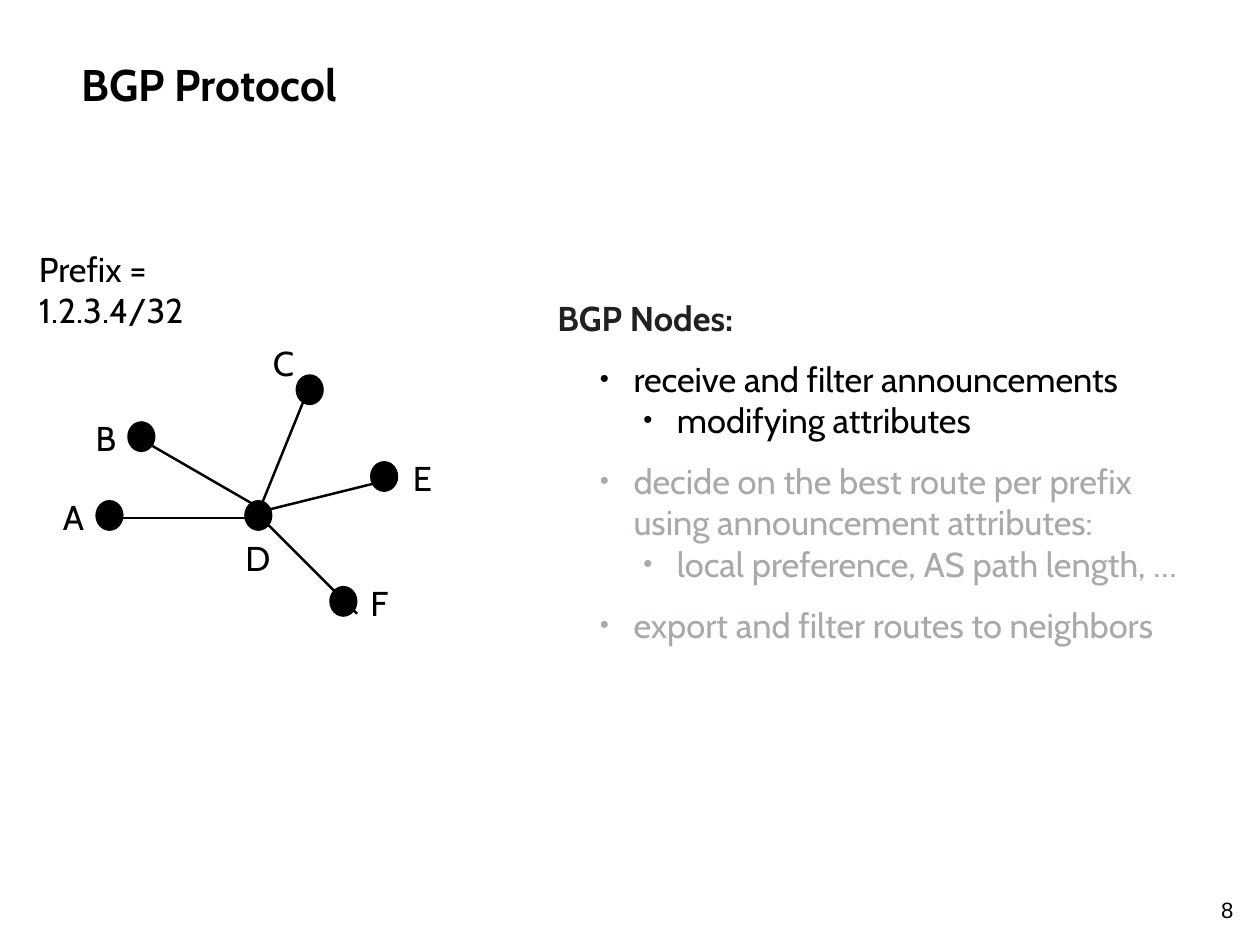
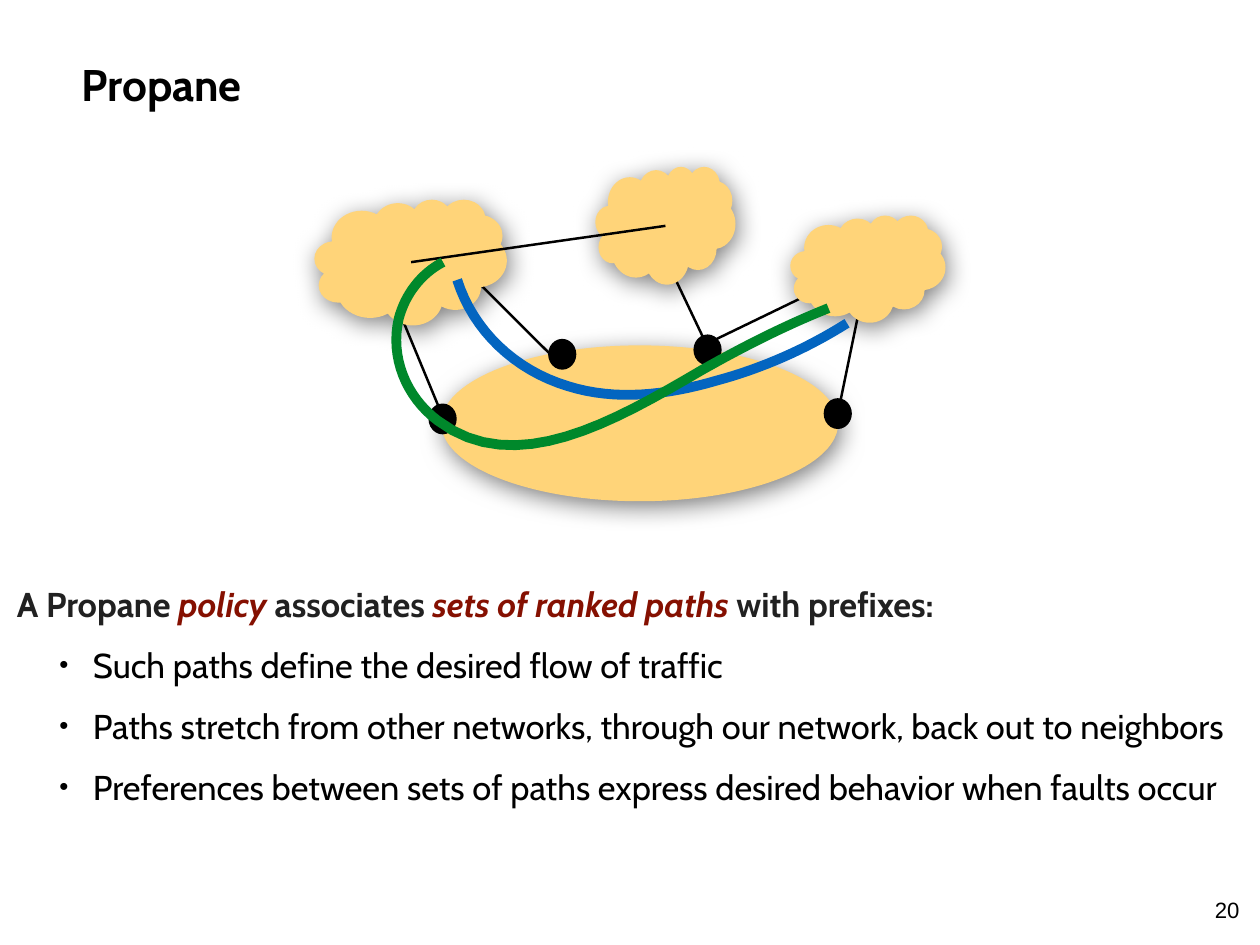
import lxml.etree
import pptx
import pptx.dml.color
import pptx.enum.shapes
import pptx.enum.text
import pptx.oxml.ns
import pptx.util

Inches = pptx.util.Inches
Pt = pptx.util.Pt
RGBColor = pptx.dml.color.RGBColor
Shape = pptx.enum.shapes.MSO_SHAPE
Align = pptx.enum.text.PP_ALIGN
Anchor = pptx.enum.text.MSO_ANCHOR
qn = pptx.oxml.ns.qn

BLACK = RGBColor(0x00, 0x00, 0x00)
HEADING = RGBColor(0x21, 0x21, 0x21)
FADED = RGBColor(0xA6, 0xAA, 0xA9)
EMPHASIS = RGBColor(0x85, 0x10, 0x01)
SAND = RGBColor(0xFF, 0xD4, 0x79)
BLUE = RGBColor(0x03, 0x65, 0xC0)
GREEN = RGBColor(0x00, 0x88, 0x2B)

TEXT_FONT = "Cabin"
NUMBER_FONT = "Arial"
TEXT_SIZE = 28
NODE_WIDTH, NODE_HEIGHT = 0.29, 0.32
LABEL_HEIGHT = 0.56
BULLET_LEFT = {1: 0.86, 2: 1.35}
BULLET_HANG = 0.38
CURVE_STEPS = 16


def add_element(parent, tag, **attributes):
    element = lxml.etree.SubElement(parent, qn(tag))
    for name, value in attributes.items():
        element.set(name, str(value))
    return element


def add_text_box(slide, left, top, width, height, wrap=True):
    shape = slide.shapes.add_textbox(Inches(left), Inches(top), Inches(width), Inches(height))
    frame = shape.text_frame
    frame.word_wrap = wrap
    frame.margin_left = frame.margin_right = Inches(0.06)
    frame.margin_top = frame.margin_bottom = Inches(0.06)
    return frame


def add_run(paragraph, text, size=TEXT_SIZE, color=BLACK, bold=False, italic=False, font=TEXT_FONT):
    run = paragraph.add_run()
    run.text = text
    run.font.name = font
    run.font.size = Pt(size)
    run.font.bold = bold
    run.font.italic = italic
    run.font.color.rgb = color


def add_base_slide(presentation, title, number):
    slide = presentation.slides.add_slide(presentation.slide_layouts[6])
    frame = add_text_box(slide, 0.86, 0.28, 12.5, 1.33)
    frame.vertical_anchor = Anchor.MIDDLE
    add_run(frame.paragraphs[0], title, size=36, bold=True)
    frame = add_text_box(slide, 13.55, 10.06, 0.6, 0.4, wrap=False)
    frame.paragraphs[0].alignment = Align.CENTER
    add_run(frame.paragraphs[0], number, size=18, font=NUMBER_FONT)
    return slide


def add_body(slide, left, top, width, height, heading, bullets):
    frame = add_text_box(slide, left, top, width, height)
    for text, color, italic in heading:
        add_run(frame.paragraphs[0], text, color=color, bold=True, italic=italic)
    for level, text, color in bullets:
        paragraph = frame.add_paragraph()
        paragraph.level = level
        paragraph.space_before = Pt(16 if level == 1 else 0)
        properties = paragraph._p.get_or_add_pPr()
        properties.set("marL", str(Inches(BULLET_LEFT[level])))
        properties.set("indent", str(-Inches(BULLET_HANG)))
        add_element(properties, "a:buSzPct", val=75000)
        add_element(properties, "a:buFont", typeface="Arial")
        add_element(properties, "a:buChar", char="•")
        add_run(paragraph, text, color=color)


def add_link(slide, left, top, start_x, start_y, end_x, end_y):
    connector = slide.shapes.add_connector(
        pptx.enum.shapes.MSO_CONNECTOR.STRAIGHT,
        Inches(left + start_x), Inches(top + start_y), Inches(left + end_x), Inches(top + end_y))
    connector.line.color.rgb = BLACK
    connector.line.width = Pt(2)
    add_element(connector._element.spPr, "a:effectLst")


def add_solid(slide, kind, left, top, width, height, color):
    shape = slide.shapes.add_shape(kind, Inches(left), Inches(top), Inches(width), Inches(height))
    shape.fill.solid()
    shape.fill.fore_color.rgb = color
    shape.line.fill.background()
    shape.shadow.inherit = False
    return shape


def add_node(slide, left, top):
    shape = add_solid(slide, Shape.OVAL, left, top, NODE_WIDTH, NODE_HEIGHT, BLACK)
    shape.line.color.rgb = BLACK
    shape.line.width = Pt(2)


def add_network_area(slide, kind, left, top, width, height):
    shape = add_solid(slide, kind, left, top, width, height, SAND)
    effects = shape._element.spPr.find(qn("a:effectLst"))
    shadow = add_element(effects, "a:outerShdw", blurRad=Pt(20), dist=Pt(4.9),
                         dir=63 * 60000, rotWithShape=0)
    color = add_element(shadow, "a:srgbClr", val="000000")
    add_element(color, "a:alpha", val=50000)


def bezier_point(points, t):
    weights = ((1 - t) ** 3, 3 * t * (1 - t) ** 2, 3 * t ** 2 * (1 - t), t ** 3)
    return tuple(sum(weight * point[axis] for weight, point in zip(weights, points))
                 for axis in (0, 1))


def add_route(slide, left, top, controls, color):
    curve = [controls[0]]
    for start in range(0, len(controls) - 1, 3):
        segment = controls[start:start + 4]
        curve += [bezier_point(segment, step / CURVE_STEPS) for step in range(1, CURVE_STEPS + 1)]
    points = [(Inches(left + x), Inches(top + y)) for x, y in curve]
    builder = slide.shapes.build_freeform(*points[0])
    builder.add_line_segments(points[1:], close=False)
    shape = builder.convert_to_shape()
    shape.fill.background()
    shape.line.color.rgb = color
    shape.line.width = Pt(8)
    shape.shadow.inherit = False


def add_node_graph(slide, left, top):
    links = [
        (0.63, 2.15, 2.38, 2.15),
        (0.99, 1.26, 2.27, 2.0),
        (2.37, 2.07, 3.66, 1.75),
        (2.37, 2.17, 3.43, 3.23),
        (2.31, 2.1, 2.87, 0.72),
    ]
    nodes = [
        ("A", 0.49, 1.96, 0.05, 1.84, 0.38),
        ("B", 0.85, 1.07, 0.42, 0.95, 0.34),
        ("C", 2.75, 0.54, 2.42, 0.1, 0.4),
        ("D", 2.17, 1.96, 2.11, 2.31, 0.42),
        ("E", 3.59, 1.52, 4.0, 1.4, 0.32),
        ("F", 3.13, 2.93, 3.52, 2.81, 0.31),
    ]
    for link in links:
        add_link(slide, left, top, *link)
    for name, node_x, node_y, label_x, label_y, label_width in nodes:
        add_node(slide, left + node_x, top + node_y)
        frame = add_text_box(slide, left + label_x, top + label_y, label_width, LABEL_HEIGHT, wrap=False)
        add_run(frame.paragraphs[0], name)


def add_prefix(slide, left, top):
    paragraph = add_text_box(slide, left, top, 3.02, 1.03).paragraphs[0]
    add_run(paragraph, "Prefix =")
    paragraph.add_line_break()
    add_run(paragraph, "1.2.3.4/32")


def add_cloud_map(slide, left, top):
    links = [
        (4.5, 2.07, 6.07, 1.31),
        (5.96, 2.85, 6.25, 1.44),
        (4.44, 2.02, 3.87, 0.82),
        (1.64, 3.25, 0.63, 0.81),
        (2.88, 2.37, 1.37, 0.86),
    ]
    areas = [
        (Shape.OVAL, 1.48, 2.1, 4.48, 1.76),
        (Shape.CLOUD, 5.42, 0.63, 1.75, 1.21),
        (Shape.CLOUD, 3.22, 0.08, 1.58, 1.33),
        (Shape.CLOUD, 0.05, 0.45, 2.17, 1.42),
    ]
    nodes = [(1.35, 2.77), (2.7, 2.04), (4.34, 1.99), (5.81, 2.71)]
    blue_route = [
        (1.66, 1.36), (1.84, 1.93), (2.31, 2.38), (2.91, 2.56), (3.45, 2.73),
        (4.03, 2.66), (4.58, 2.5), (5.1, 2.36), (5.6, 2.14), (6.06, 1.85),
    ]
    green_route = [
        (1.5, 1.16), (1.25, 1.29), (1.07, 1.53), (1.0, 1.8), (0.9, 2.23),
        (1.08, 2.68), (1.44, 2.95), (2.31, 3.61), (3.43, 2.96), (4.42, 2.38),
        (4.88, 2.12), (5.35, 1.88), (5.85, 1.68),
    ]
    for link in links:
        add_link(slide, left, top, *link)
    for kind, x, y, width, height in areas:
        add_network_area(slide, kind, left + x, top + y, width, height)
    for x, y in nodes:
        add_node(slide, left + x, top + y)
    add_link(slide, left, top, 1.14, 1.16, 4.01, 0.75)
    add_route(slide, left, top, blue_route, BLUE)
    add_route(slide, left, top, green_route, GREEN)


def build_protocol_slide(presentation):
    slide = add_base_slide(presentation, "BGP Protocol", "8")
    add_body(slide, 6.23, 3.29, 7.48, 4.64, [("BGP Nodes:", HEADING, False)], [
        (1, "receive and filter announcements", BLACK),
        (2, "modifying attributes", BLACK),
        (1, "decide on the best route per prefix using announcement attributes:", FADED),
        (2, "local preference, AS path length, …", FADED),
        (1, "export and filter routes to neighbors", FADED),
    ])
    add_node_graph(slide, 0.6, 3.7)
    add_prefix(slide, 0.38, 2.74)


def build_propane_slide(presentation):
    slide = add_base_slide(presentation, "Propane", "20")
    heading = [
        ("A Propane ", HEADING, False),
        ("policy", EMPHASIS, True),
        (" associates ", HEADING, False),
        ("sets of ranked paths", EMPHASIS, True),
        (" with prefixes:", HEADING, False),
    ]
    add_body(slide, 0.13, 6.52, 13.97, 4.1, heading, [
        (1, "Such paths define the desired flow of traffic", BLACK),
        (1, "Paths stretch from other networks, through our network, back out to neighbors", BLACK),
        (1, "Preferences between sets of paths express desired behavior when faults occur", BLACK),
    ])
    add_cloud_map(slide, 3.5, 1.8)


def main():
    presentation = pptx.Presentation()
    presentation.slide_width = Inches(14.22)
    presentation.slide_height = Inches(10.67)
    build_protocol_slide(presentation)
    build_propane_slide(presentation)
    presentation.save("out.pptx")


if __name__ == "__main__":
    main()
